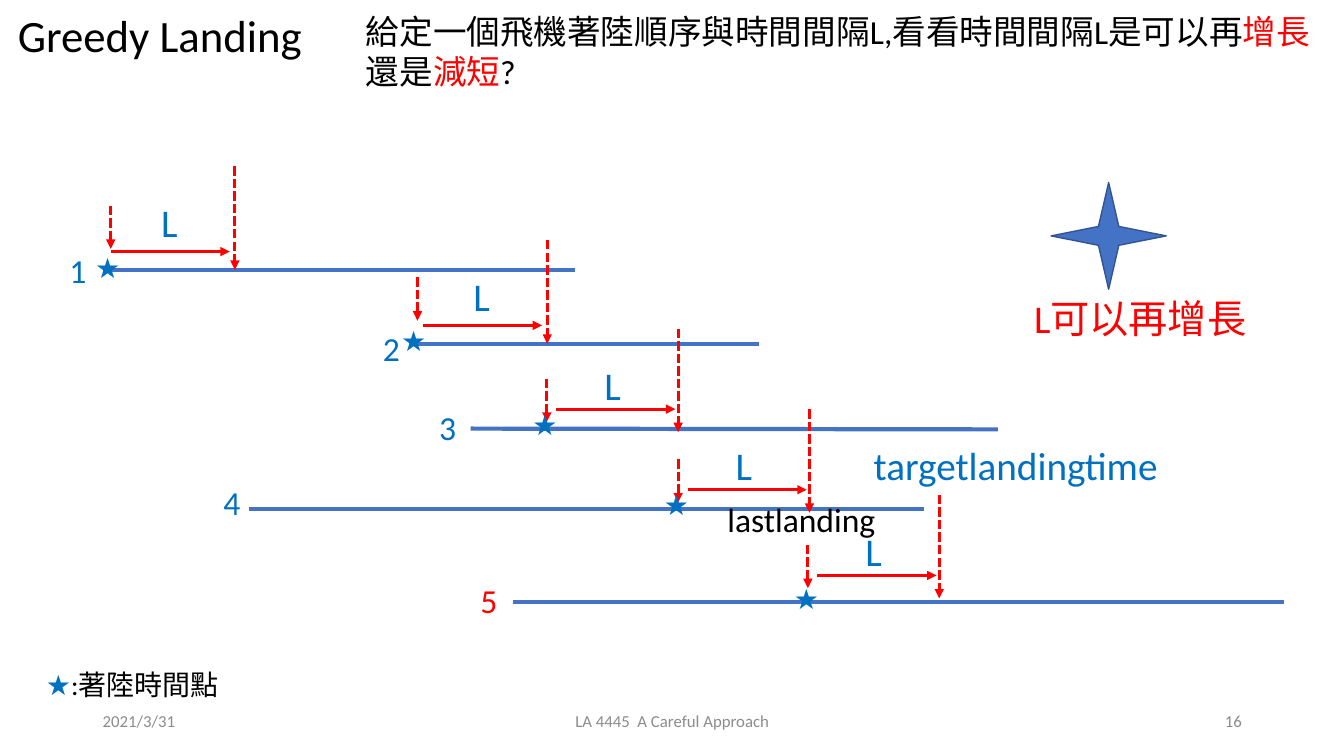
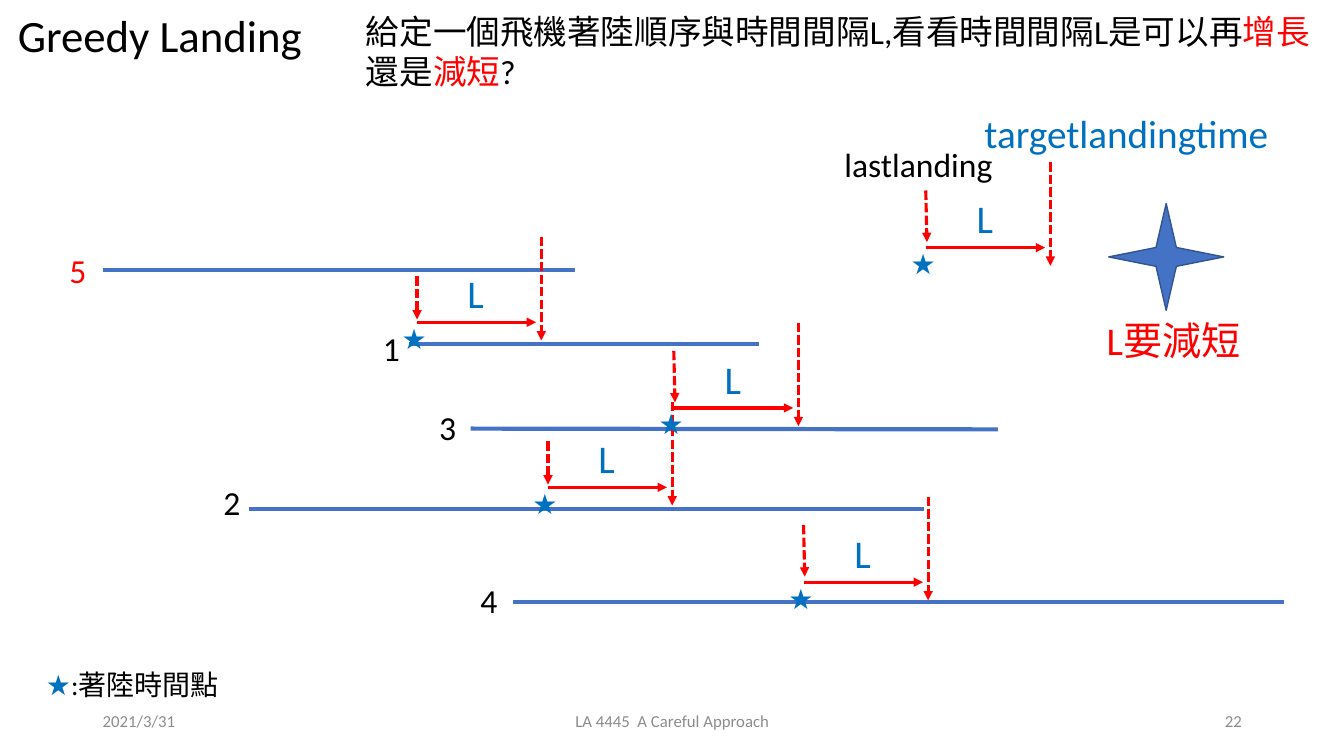
import collections

import lxml.etree
import pptx
import pptx.dml.color
import pptx.enum.dml
import pptx.enum.shapes
import pptx.enum.text
import pptx.oxml.ns
import pptx.util

Cm = pptx.util.Cm
Pt = pptx.util.Pt
qn = pptx.oxml.ns.qn
ALIGN = pptx.enum.text.PP_ALIGN

LATIN = "Calibri"
ASIAN = "Noto Sans CJK SC"
BLACK, GREY, RED = "000000", "8C8C8C", "FF0000"
BLUE, BAR, EDGE = "0070C0", "4472C4", "325491"

BARS = [
    (2.6, 6.81, 14.5, 6.81),
    (10.31, 8.66, 19.13, 8.66),
    (11.86, 10.8, 25.15, 10.82),
    (6.27, 12.83, 23.29, 12.83),
    (12.93, 15.16, 32.36, 15.16),
]
LABELS = [(1.5, 6.17), (9.4, 8.13), (10.82, 10.13), (5.38, 12.01), (11.86, 14.48)]

HEAD = [
    ("給定一個飛機著陸順序與時間間隔L,看看時間間隔L是可以再", BLACK),
    ("增長", RED),
    ("還是", BLACK),
    ("減短", RED),
    ("?", BLACK),
]
LEGEND = [("★", BLUE), (":著陸時間點", BLACK)]

Gap = collections.namedtuple("Gap", "start drop lean span star")
NEAR = Gap((-3.13, 0.99), 1.09, 0, (-3.13, 2.15), (-3.77, 2))
LONG = NEAR._replace(start=(-3.14, 0.71), drop=1.3, lean=0.03)
SHIFT = NEAR._replace(start=(-3.27, 0.94), star=(-3.93, 1.98))
FAR = Gap((-3.31, 1.26), 1.09, 0, (-3.07, 2.03), (-3.92, 1.86))
LAST = FAR._replace(star=(-3.91, 2.06))


def paint(target, color):
    target.rgb = pptx.dml.color.RGBColor.from_string(color)


def text(slide, x, y, width, height, runs, size, align=ALIGN.LEFT, middle=False):
    frame = slide.shapes.add_textbox(Cm(x), Cm(y), Cm(width), Cm(height)).text_frame
    frame.word_wrap = True
    if middle:
        frame.vertical_anchor = pptx.enum.text.MSO_ANCHOR.MIDDLE
    para = frame.paragraphs[0]
    para.alignment = align
    para.font.size = Pt(size)
    para.font.name = LATIN
    props = para._p.pPr.find(qn("a:defRPr"))
    lxml.etree.SubElement(props, qn("a:ea"), typeface=ASIAN)
    if len(runs) == 1:
        paint(para.font.color, runs[0][1])
    for words, color in runs:
        run = para.add_run()
        run.text = words
        if len(runs) > 1:
            paint(run.font.color, color)


def line(slide, x1, y1, x2, y2, color, width):
    link = slide.shapes.add_connector(
        pptx.enum.shapes.MSO_CONNECTOR.STRAIGHT, Cm(x1), Cm(y1), Cm(x2), Cm(y2))
    paint(link.line.color, color)
    link.line.width = Pt(width)
    lxml.etree.SubElement(link._element.spPr, qn("a:effectLst"))
    return link


def arrow(slide, x, y, dx, dy, dash=True):
    link = line(slide, x, y, x + dx, y + dy, RED, 2.25)
    if dash:
        link.line.dash_style = pptx.enum.dml.MSO_LINE.SQUARE_DOT
    ln = link._element.spPr.find(qn("a:ln"))
    lxml.etree.SubElement(ln, qn("a:tailEnd"), type="triangle")


def gap(slide, x, y, kind):
    text(slide, x - 2.11, y + 0.69, 1.09, 1.45, [("L", BLUE)], 28)
    arrow(slide, x + kind.start[0], y + kind.start[1], kind.lean, kind.drop)
    arrow(slide, x, y, 0, 2.61)
    arrow(slide, x + kind.span[0], y + kind.span[1], 3, 0, dash=False)
    text(slide, x + kind.star[0], y + kind.star[1], 1.35, 1.12, [("★", BLUE)], 20)


def badge(slide, x, y):
    star = slide.shapes.add_shape(
        pptx.enum.shapes.MSO_SHAPE.STAR_4_POINT, Cm(x), Cm(y), Cm(2.9), Cm(2.69))
    star.shadow.inherit = False
    star.fill.solid()
    paint(star.fill.fore_color, BAR)
    paint(star.line.color, EDGE)
    star.line.width = Pt(1)


def frame(deck, number, names):
    slide = deck.slides.add_slide(deck.slide_layouts[6])
    footers = [
        (2.34, 7.62, "2021/3/31", ALIGN.LEFT),
        (11.23, 11.43, "LA 4445  A Careful Approach", ALIGN.CENTER),
        (23.93, 7.62, number, ALIGN.RIGHT),
    ]
    for x, width, words, align in footers:
        text(slide, x, 17.65, width, 1.02, [(words, GREY)], 12, align, True)
    for bar in BARS:
        line(slide, *bar, BAR, 3)
    for (x, y), name in zip(LABELS, names):
        text(slide, x, y, 1.3, 1.27, [name], 24)
    text(slide, 0.2, 0.08, 8.76, 1.63, [("Greedy Landing", BLACK)], 32)
    text(slide, 8.97, 0.15, 24.89, 2.31, HEAD, 24)
    text(slide, 0.91, 16.69, 5.16, 1.12, LEGEND, 20)
    return slide


def notes(slide, last, target):
    text(slide, *last, 4.6, 1.27, [("lastlanding", BLACK)], 24)
    text(slide, *target, 8.38, 1.45, [("targetlandingtime", BLUE)], 28)


def grow(deck):
    names = [(digit, BLUE) for digit in "1234"] + [("5", RED)]
    slide = frame(deck, "16", names)
    gap(slide, 5.92, 4.19, NEAR)
    gap(slide, 13.79, 6.05, SHIFT)
    gap(slide, 17.09, 8.28, FAR)
    gap(slide, 20.4, 10.31, FAR)
    gap(slide, 23.67, 12.47, LAST)
    notes(slide, (18.08, 12.45), (21.77, 11))
    text(slide, 25.81, 7.29, 6.17, 1.45, [("L可以再增長", RED)], 28)
    badge(slide, 26.49, 4.6)


def shrink(deck):
    names = [("5", RED)] + [(digit, BLACK) for digit in "1324"]
    slide = frame(deck, "22", names)
    gap(slide, 13.64, 5.97, NEAR)
    gap(slide, 16.94, 10.13, NEAR)
    gap(slide, 20.12, 8.13, LONG)
    gap(slide, 23.39, 12.52, LONG)
    gap(slide, 26.47, 4.09, LONG)
    notes(slide, (21.03, 3.51), (24.56, 2.62))
    text(slide, 27.64, 7.85, 5.31, 1.45, [("L要減短", RED)], 28)
    badge(slide, 27.94, 5.13)


def main():
    deck = pptx.Presentation()
    deck.slide_width = Cm(33.87)
    deck.slide_height = Cm(19.05)
    grow(deck)
    shrink(deck)
    deck.save("out.pptx")


if __name__ == "__main__":
    main()
